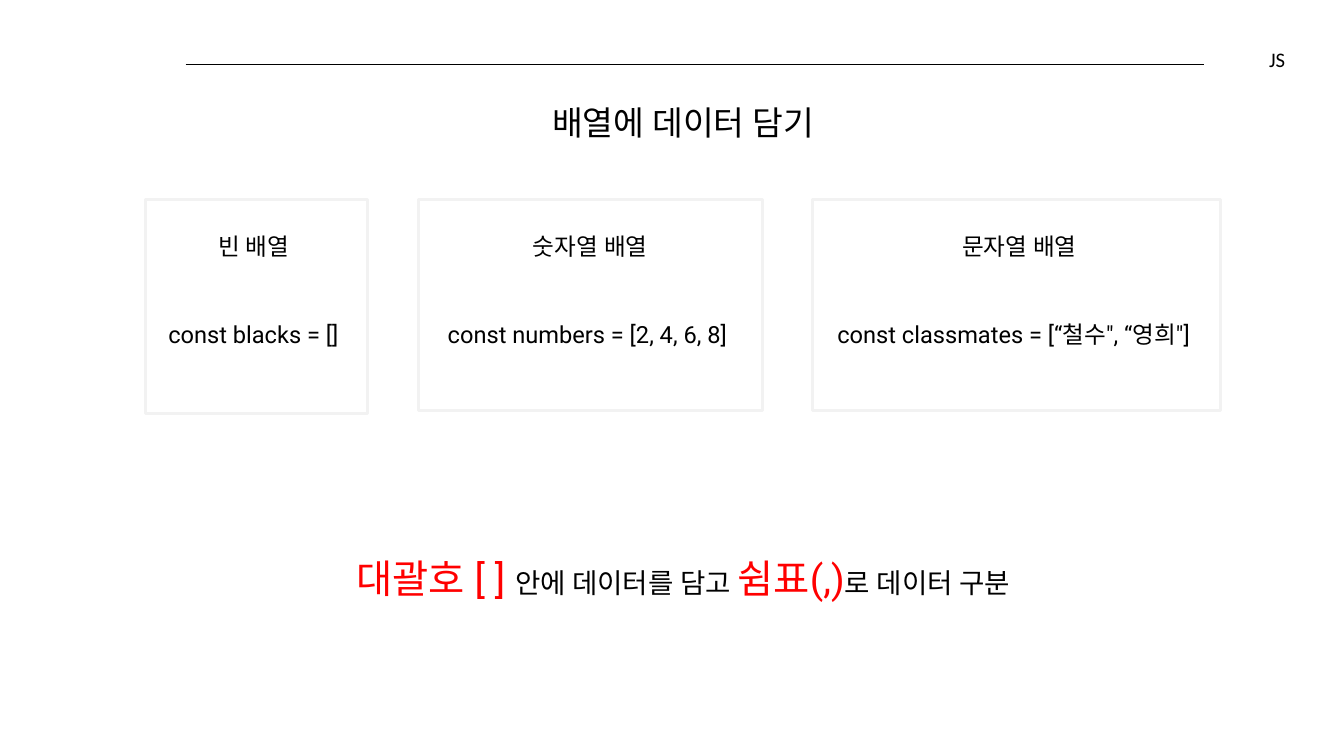
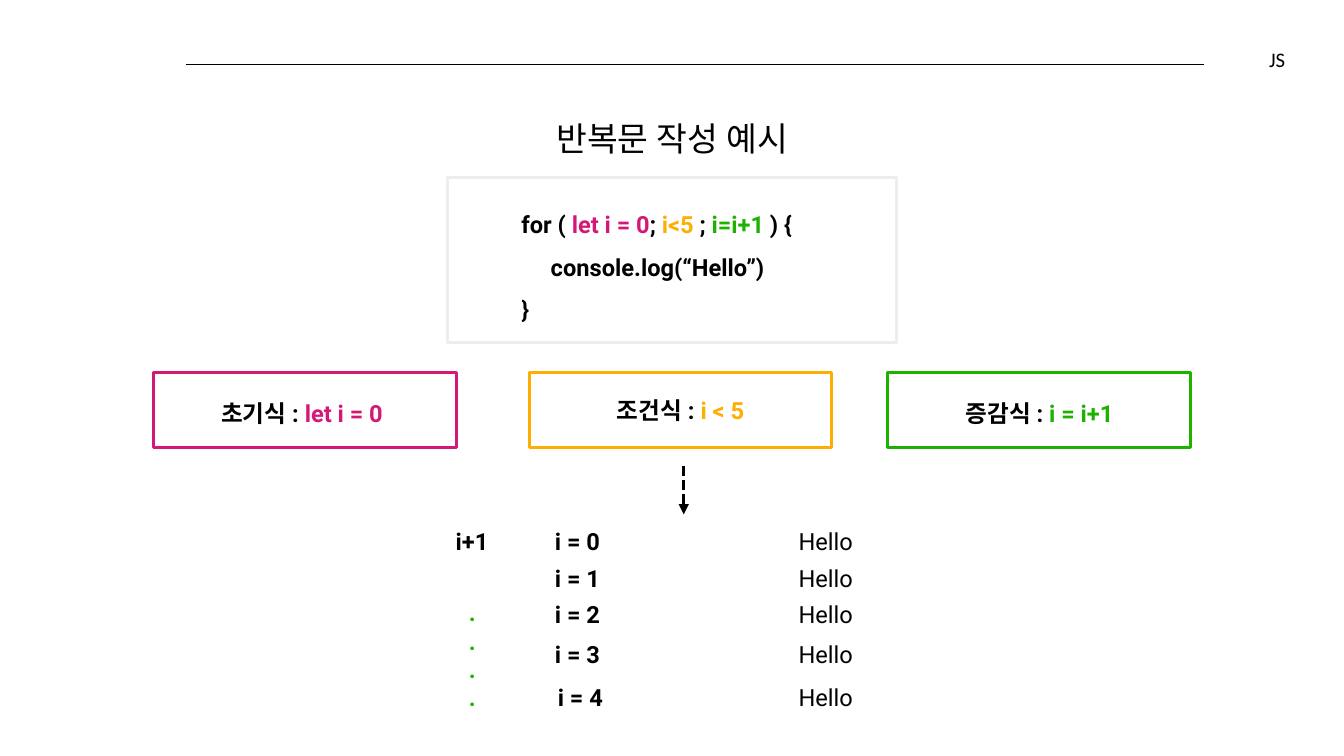
from lxml import etree
from pptx import Presentation
from pptx.dml.color import RGBColor
from pptx.enum.dml import MSO_LINE
from pptx.enum.shapes import MSO_CONNECTOR, MSO_SHAPE
from pptx.enum.text import MSO_ANCHOR, PP_ALIGN
from pptx.oxml.ns import qn
from pptx.util import Cm, Pt

RECT = MSO_SHAPE.RECTANGLE
STRAIGHT = MSO_CONNECTOR.STRAIGHT
DASH = MSO_LINE.SQUARE_DOT
LEFT, CENTER, RIGHT = PP_ALIGN.LEFT, PP_ALIGN.CENTER, PP_ALIGN.RIGHT
TOP, MIDDLE = MSO_ANCHOR.TOP, MSO_ANCHOR.MIDDLE

COLORS = {
    "black": "000000",
    "red": "FF0000",
    "pink": "D41876",
    "amber": "FEAE00",
    "green": "1DB100",
    "pale": "F2F2F2",
    "gray": "EDEDED",
}
FONT = "Roboto"
WIDE, TIGHT = 0.48, 0.1  # text margins in cm


def rgb(name):
    return RGBColor.from_string(COLORS[name])


def style(run, color="black", size=24, bold=False, font=FONT):
    values = {"name": font, "size": Pt(size), "bold": bold}
    for key, value in values.items():
        setattr(run.font, key, value)
    run.font.color.rgb = rgb(color)
    asian = etree.SubElement(run.font._element, qn("a:ea"))
    asian.set("typeface", font)


def write(frame, paras, align=CENTER, anchor=TOP, pad=WIDE, wrap=True,
          space=None, **look):
    """Fill a frame; each paragraph is a list of (text, changes) runs."""
    form = {"word_wrap": wrap, "vertical_anchor": anchor}
    for side in ("left", "top", "right", "bottom"):
        form["margin_" + side] = Cm(pad)
    for key, value in form.items():
        setattr(frame, key, value)
    for i, runs in enumerate(paras):
        para = frame.add_paragraph() if i else frame.paragraphs[0]
        para.alignment = align
        if space:
            para.line_spacing = space
        for text, change in runs:
            run = para.add_run()
            run.text = text
            style(run, **{**look, **change})


def text(shapes, at, paras, **form):
    box = shapes.add_textbox(*map(Cm, at))
    if isinstance(paras, str):
        paras = [[(paras, {})]]
    write(box.text_frame, paras, **form)


def label(shapes, at, paras, **form):
    """A tight text, centred in its height."""
    text(shapes, at, paras, **{"anchor": MIDDLE, "pad": TIGHT, "wrap": False, **form})


def outline(shapes, at, color):
    rect = shapes.add_shape(RECT, *map(Cm, at))
    rect.shadow.inherit = False
    rect.fill.background()
    rect.line.color.rgb = rgb(color)
    rect.line.width = Pt(3)


def rule(shapes, ends, width):
    line = shapes.add_connector(STRAIGHT, *map(Cm, ends))
    line.line.color.rgb = rgb("black")
    line.line.width = Pt(width)
    etree.SubElement(line._element.spPr, qn("a:effectLst"))
    return line


def arrow(shapes, ends):
    line = rule(shapes, ends, 3.5)
    line.line.dash_style = DASH
    tail = etree.SubElement(line._element.spPr.find(qn("a:ln")), qn("a:tailEnd"))
    tail.set("type", "triangle")


def start(prs, head, left, top):
    """Add a slide with the shared rule, corner title and heading."""
    slide = prs.slides.add_slide(prs.slide_layouts[5])
    rule(slide.shapes, (6.65, 2.29, 43.15, 2.29), 0.75)
    title = slide.shapes.title
    spot = {"left": 32.13, "top": 1.63, "width": 13.94, "height": 0.97}
    for key, value in spot.items():
        setattr(title, key, Cm(value))
    write(title.text_frame, [[("JS", {})]], align=RIGHT, anchor=MIDDLE,
          pad=0, size=21, font="Calibri")
    text(slide.shapes, (left, top, 29.03, 2.49), head, size=34)
    return slide.shapes


def arrays(prs):
    shapes = start(prs, "배열에 데이터 담기", 9.98, 3.18)

    # Cards in a row: width, height, label shift, label, code
    cards = [
        (7.98, 7.65, -0.1, "빈 배열", "const blacks = [] "),
        (12.32, 7.54, 0, "숫자열 배열", "const numbers = [2, 4, 6, 8] "),
        (14.6, 7.54, 0.1, "문자열 배열", 'const classmates = [“철수", “영희"] '),
    ]
    left, gap = 5.2, 1.82
    for width, height, shift, name, code in cards:
        card = shapes.add_group_shape().shapes
        text(card, (left, 11, width, 2.06), code)
        text(card, (left + shift, 7.82, width, 2.06), name)
        outline(card, (left, 7.16, width, height), "pale")
        left += width + gap

    # Summary
    big, small = {"size": 40, "color": "red"}, {"size": 28}
    text(shapes, (9.98, 19.4, 29.03, 2.74), [[
        ("대괄호 [ ] ", big), ("안에 데이터를 담고 ", small),
        ("쉼표(,)", big), ("로 데이터 구분", small),
    ]])


def loops(prs):
    shapes = start(prs, "반복문 작성 예시", 9.58, 3.76)
    pink, amber, green = ({"color": c} for c in ("pink", "amber", "green"))

    # Code block
    outline(shapes, (16.05, 6.35, 16.08, 5.92), "gray")
    label(shapes, (18.59, 7.16, 10.49, 4.29), [
        [("for ( ", {}), ("let i = 0", pink), ("; ", {}), ("i<5", amber),
         (" ; ", {}), ("i=i+1", green), (" ) {", {})],
        [("     console.log(“Hello”)", {})],
        [("}", {})],
    ], align=LEFT, space=1.5, bold=True)

    # Loop parts: frame left, text left, top and width, name, value, colour
    parts = [
        (5.51, 7.77, 14.15, 6.32, "초기식 : ", "let i = 0 ", pink),
        (18.97, 21.97, 14.05, 4.85, "조건식 : ", "i < 5", amber),
        (31.83, 34.47, 14.15, 5.59, "증감식 :", " i = i+1", green),
    ]
    for left, x, y, width, name, value, look in parts:
        part = shapes.add_group_shape().shapes
        label(part, (x, y, width, 1.3), [[(name, {}), (value, look)]],
              wrap=True, bold=True)
        outline(part, (left, 13.34, 10.85, 2.69), look["color"])

    arrow(shapes, (24.51, 16.71, 24.51, 18.44))

    # Steps and their output
    steps = [("i = 0 ", 18.8), ("i = 1 ", 20.12), ("i = 2 ", 21.41),
             ("i = 3 ", 22.86), ("i = 4", 24.38)]
    for step, top in steps:
        label(shapes, (19.74, top, 2.13, 1.19), step, bold=True)
        label(shapes, (28.52, top, 2.16, 1.19), "Hello")
    label(shapes, (16.21, 18.8, 1.42, 1.19), "i+1", bold=True)
    label(shapes, (16.69, 21.34, 0.48, 4.27), [[(".", green)]] * 4, bold=True)


def main():
    prs = Presentation()
    prs.slide_width, prs.slide_height = Cm(48.18), Cm(27.1)
    arrays(prs)
    loops(prs)
    prs.save("out.pptx")


if __name__ == "__main__":
    main()
